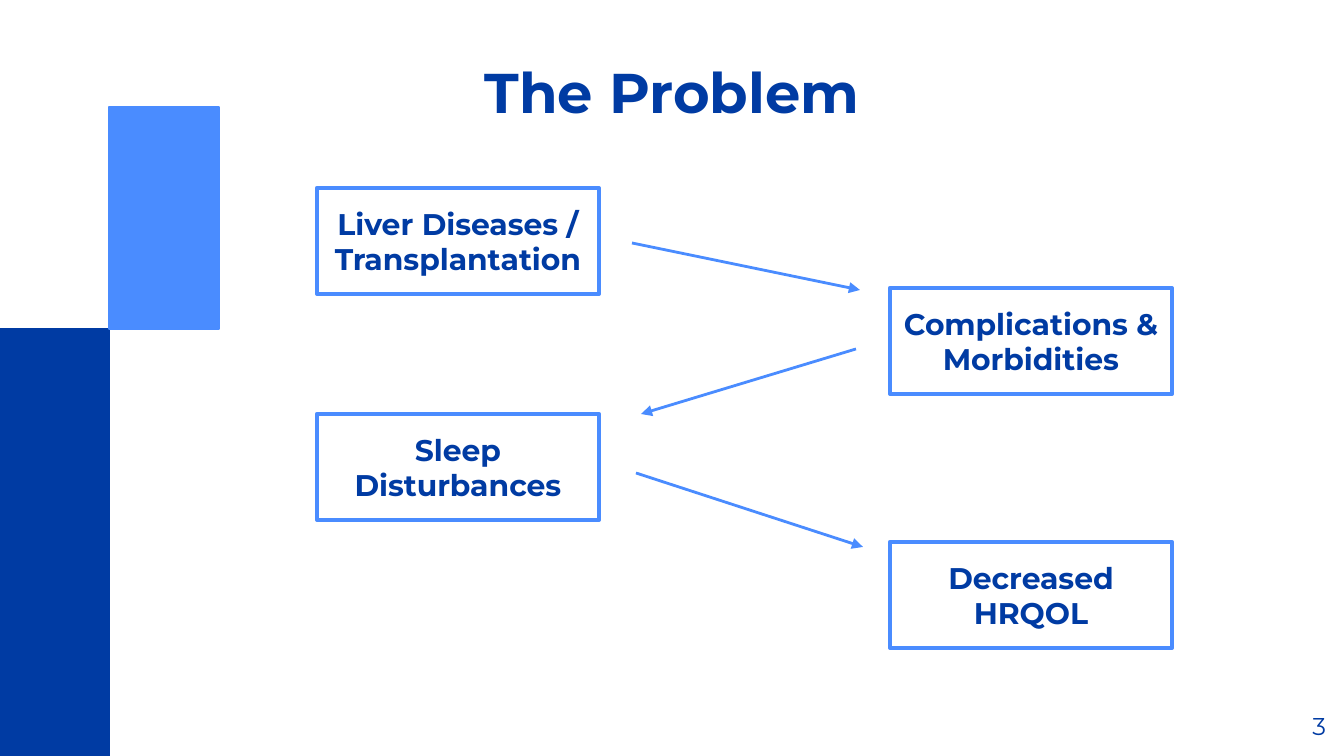
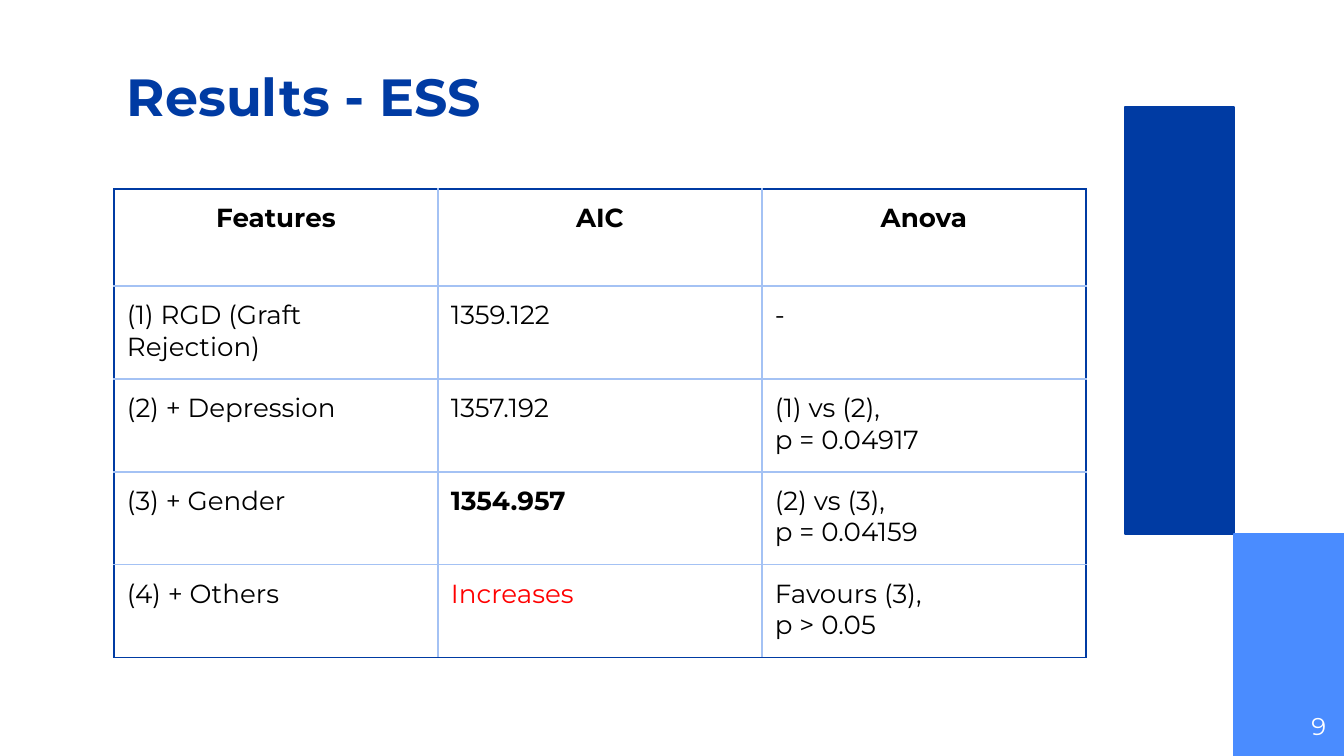
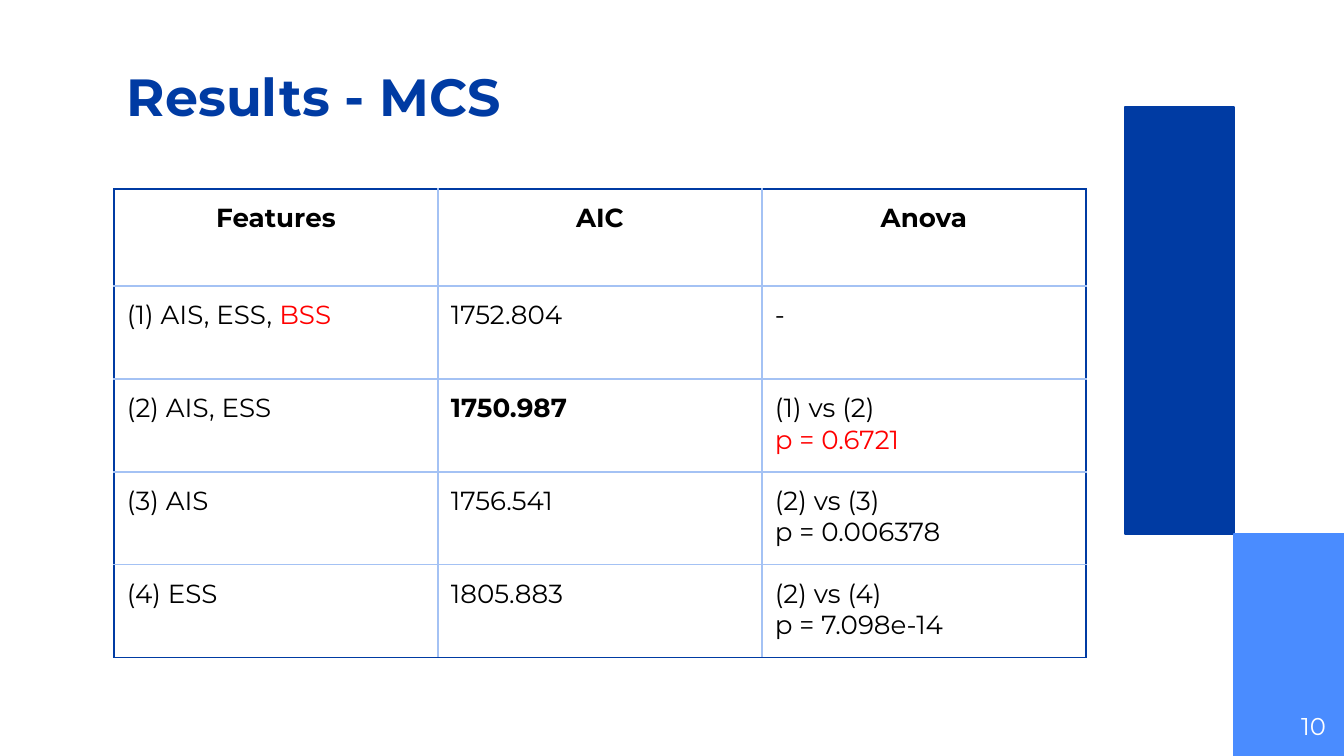
from pptx import Presentation
from pptx.dml.color import RGBColor
from pptx.enum.shapes import MSO_CONNECTOR as CONNECTOR, MSO_SHAPE as SHAPE
from pptx.enum.text import MSO_ANCHOR as ANCHOR, MSO_AUTO_SIZE as AUTO_SIZE, PP_ALIGN as ALIGN
from pptx.oxml.ns import qn
from pptx.util import Emu, Pt
from lxml.etree import SubElement

# Shared look
PAGE_WIDTH, PAGE_HEIGHT = 1344, 756
SCALE = 9144000 / PAGE_WIDTH
FONT = "Montserrat"
NAVY, SKY, PALE = "003BA3", "4A8CFF", "A4C2F4"
BLACK, WHITE, RED = "000000", "FFFFFF", "FF0000"
INSET = 13
TITLE_ONLY = 5
NUMBER_BOX = (1258, 698, 81, 58)


def px(length):
    return Emu(round(length * SCALE))


def color(code):
    return RGBColor.from_string(code)


def set_all(target, values):
    for name, value in values.items():
        setattr(target, name, value)


def place(shape, box):
    set_all(shape, dict(zip(("left", "top", "width", "height"), map(px, box))))


# Text: a paragraph is a string or a list of (text, format changes) spans
def write_text(frame, paras, size, ink, bold=False, align=ALIGN.LEFT):
    for index, spans in enumerate(paras):
        para = frame.paragraphs[0] if index == 0 else frame.add_paragraph()
        para.alignment = align
        for text, changes in [(spans, {})] if isinstance(spans, str) else spans:
            look = {"ink": ink, "bold": bold, **changes}
            span = para.add_run()
            span.text = text
            set_all(span.font, {"name": FONT, "size": Pt(size), "bold": look["bold"]})
            span.font.color.rgb = color(look["ink"])


def set_frame(frame, anchor):
    sides = ("margin_left", "margin_top", "margin_right", "margin_bottom")
    set_all(frame, {side: px(INSET) for side in sides})
    set_all(frame, {"word_wrap": True, "auto_size": AUTO_SIZE.NONE,
                    "vertical_anchor": anchor})


def red(text):
    return [(text, {"ink": RED})]


def strong(text):
    return [(text, {"bold": True})]


# Parts found on every slide
def add_page(deck, title, box, size, align, number, number_ink):
    page = deck.slides.add_slide(deck.slide_layouts[TITLE_ONLY])
    heading = page.shapes.title
    place(heading, box)
    set_frame(heading.text_frame, ANCHOR.TOP)
    write_text(heading.text_frame, [title], size, NAVY, True, align)

    def add_number():
        label = page.shapes.add_textbox(*map(px, NUMBER_BOX))
        set_frame(label.text_frame, ANCHOR.TOP)
        write_text(label.text_frame, [str(number)], 13, number_ink, align=ALIGN.RIGHT)

    return page, add_number


def add_rect(page, box, line, width, fill=None):
    rect = page.shapes.add_shape(SHAPE.RECTANGLE, *map(px, box))
    rect.shadow.inherit = False
    if fill:
        rect.fill.solid()
        rect.fill.fore_color.rgb = color(fill)
    else:
        rect.fill.background()
    rect.line.color.rgb = color(line)
    rect.line.width = Pt(width)
    return rect


def add_bands(page, box, left_fill, right_fill, left_height, right_height, left_first):
    """Two bands that meet at a corner; the first one starts at the top."""
    left, top, width, _ = box
    middle = 109
    left_top = top if left_first else top + right_height
    right_top = top + left_height if left_first else top
    add_rect(page, (left, left_top, middle, left_height), left_fill, 0.75, left_fill)
    add_rect(page, (left + middle, right_top, width - middle, right_height),
             right_fill, 0.75, right_fill)


# Flow of boxes in two columns
def add_arrow(page, start, end):
    arrow = page.shapes.add_connector(CONNECTOR.STRAIGHT, *map(px, start + end))
    arrow.line.color.rgb = color(SKY)
    arrow.line.width = Pt(1.5)
    SubElement(arrow.line._get_or_add_ln(), qn("a:tailEnd"), type="triangle")
    SubElement(arrow._element.spPr, qn("a:effectLst"))


def add_flow(page, box, steps, arrows):
    left, top, width, _ = box
    step_width, step_height = 282, 106
    columns = (left, left + width - step_width)
    for index, (text, drop) in enumerate(steps):
        step = add_rect(page, (columns[index % 2], top + drop, step_width, step_height),
                        SKY, 2.25)
        set_frame(step.text_frame, ANCHOR.MIDDLE)
        write_text(step.text_frame, [text], 16, NAVY, True, ALIGN.CENTER)
    for start, end in arrows:
        add_arrow(page, *((left + x, top + y) for x, y in (start, end)))


# Table with navy outer and pale inner borders
def set_borders(cell, inks):
    properties = cell._tc.get_or_add_tcPr()
    for index, (side, ink) in enumerate(inks.items()):
        line = properties.makeelement(qn(f"a:ln{side}"), {"w": str(Pt(0.75))})
        fill = SubElement(line, qn("a:solidFill"))
        SubElement(fill, qn("a:srgbClr"), val=ink)
        properties.insert(index, line)


def add_results_table(page, box, rows):
    left, top, width, height = box
    row_count, column_count = len(rows), len(rows[0])
    header_height = 97
    row_height = (height - header_height) // (row_count - 1)
    frame = page.shapes.add_table(row_count, column_count, *map(px, box))
    table = frame.table
    set_all(table, {"first_row": False, "horz_banding": False})
    for column in table.columns:
        column.width = px(width // column_count)
    for r, row in enumerate(rows):
        table.rows[r].height = px(row_height if r else header_height)
        for c, paras in enumerate(row):
            cell = table.cell(r, c)
            sides = ("margin_left", "margin_top", "margin_right", "margin_bottom")
            set_all(cell, {side: px(INSET) for side in sides})
            cell.vertical_anchor = ANCHOR.TOP
            cell.fill.background()
            outer = {"L": c == 0, "R": c == column_count - 1,
                     "T": r == 0, "B": r == row_count - 1}
            set_borders(cell, {side: NAVY if edge else PALE for side, edge in outer.items()})
            write_text(cell.text_frame, paras, 14, BLACK, r == 0,
                       ALIGN.LEFT if r else ALIGN.CENTER)


# Types of slide
def build_problem(deck):
    page, add_number = add_page(deck, "The Problem", (0, 44, 1344, 106), 30,
                                ALIGN.CENTER, 3, NAVY)
    add_bands(page, (0, 107, 219, 649), NAVY, SKY, 427, 222, left_first=False)
    steps = [("Liver Diseases / Transplantation", 0), ("Complications & Morbidities", 100),
             ("Sleep Disturbances", 226), ("Decreased HRQOL", 354)]
    arrows = [((315, 55), (543, 102)), ((539, 161), (324, 226)), ((319, 285), (546, 359))]
    add_flow(page, (317, 188, 855, 460), steps, arrows)
    add_number()


def build_results(deck, title, number, rows):
    page, add_number = add_page(deck, title, (114, 51, 597, 106), 28,
                                ALIGN.LEFT, number, WHITE)
    add_bands(page, (1125, 107, 219, 649), NAVY, SKY, 427, 222, left_first=True)
    header = [["Features"], ["AIC"], ["Anova"]]
    add_results_table(page, (114, 189, 972, 469), [header] + rows)
    add_number()


ESS_ROWS = [
    [["(1) RGD (Graft Rejection)"], ["1359.122"], ["-"]],
    [["(2) + Depression"], ["1357.192"], ["(1) vs (2),", "p = 0.04917"]],
    [["(3) + Gender"], [strong("1354.957")], ["(2) vs (3),", "p = 0.04159"]],
    [["(4) + Others"], [red("Increases")], ["Favours (3),", "p > 0.05"]],
]
MCS_ROWS = [
    [[[("(1) AIS, ESS, ", {})] + red("BSS")], ["1752.804"], ["-"]],
    [["(2) AIS, ESS"], [strong("1750.987")], ["(1) vs (2)", red("p = 0.6721")]],
    [["(3) AIS"], ["1756.541"], ["(2) vs (3)", "p = 0.006378"]],
    [["(4) ESS"], ["1805.883"], ["(2) vs (4)", "p = 7.098e-14"]],
]


def main():
    deck = Presentation()
    set_all(deck, {"slide_width": px(PAGE_WIDTH), "slide_height": px(PAGE_HEIGHT)})
    build_problem(deck)
    build_results(deck, "Results - ESS", 9, ESS_ROWS)
    build_results(deck, "Results - MCS", 10, MCS_ROWS)
    deck.save("out.pptx")


if __name__ == "__main__":
    main()
